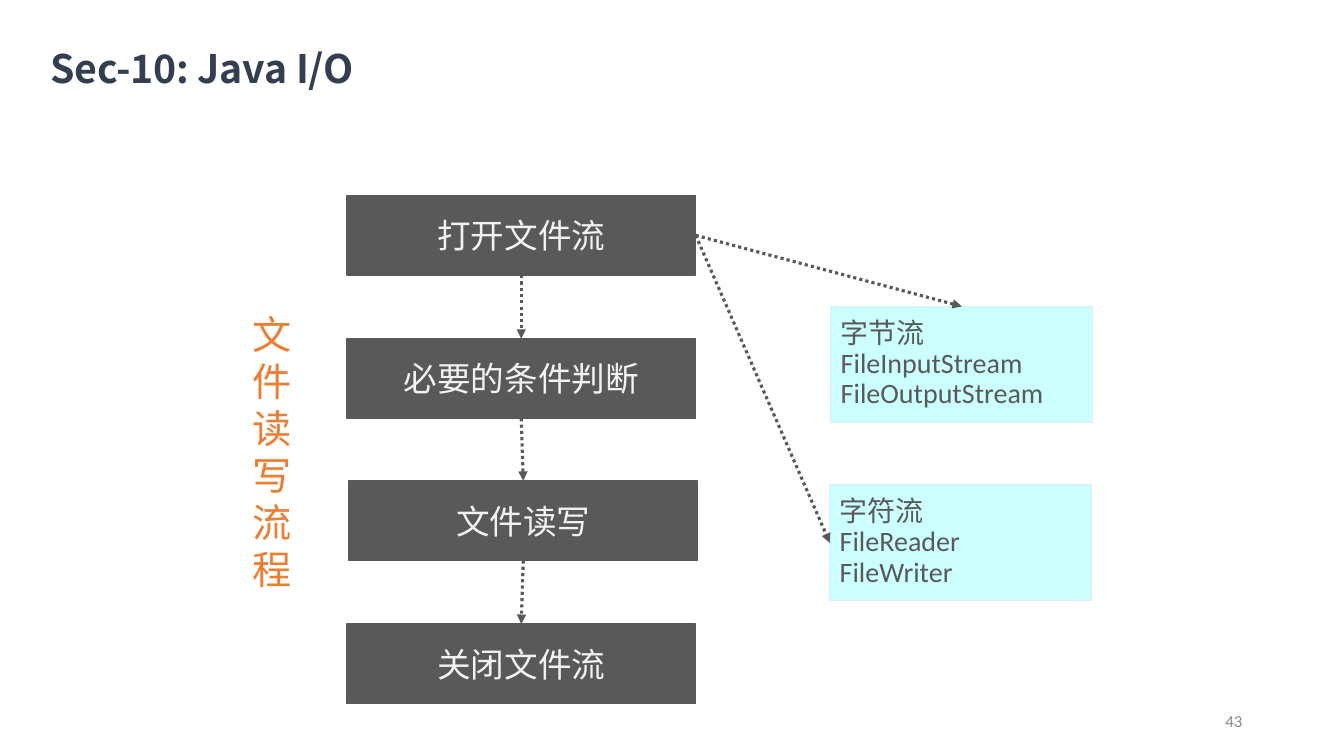
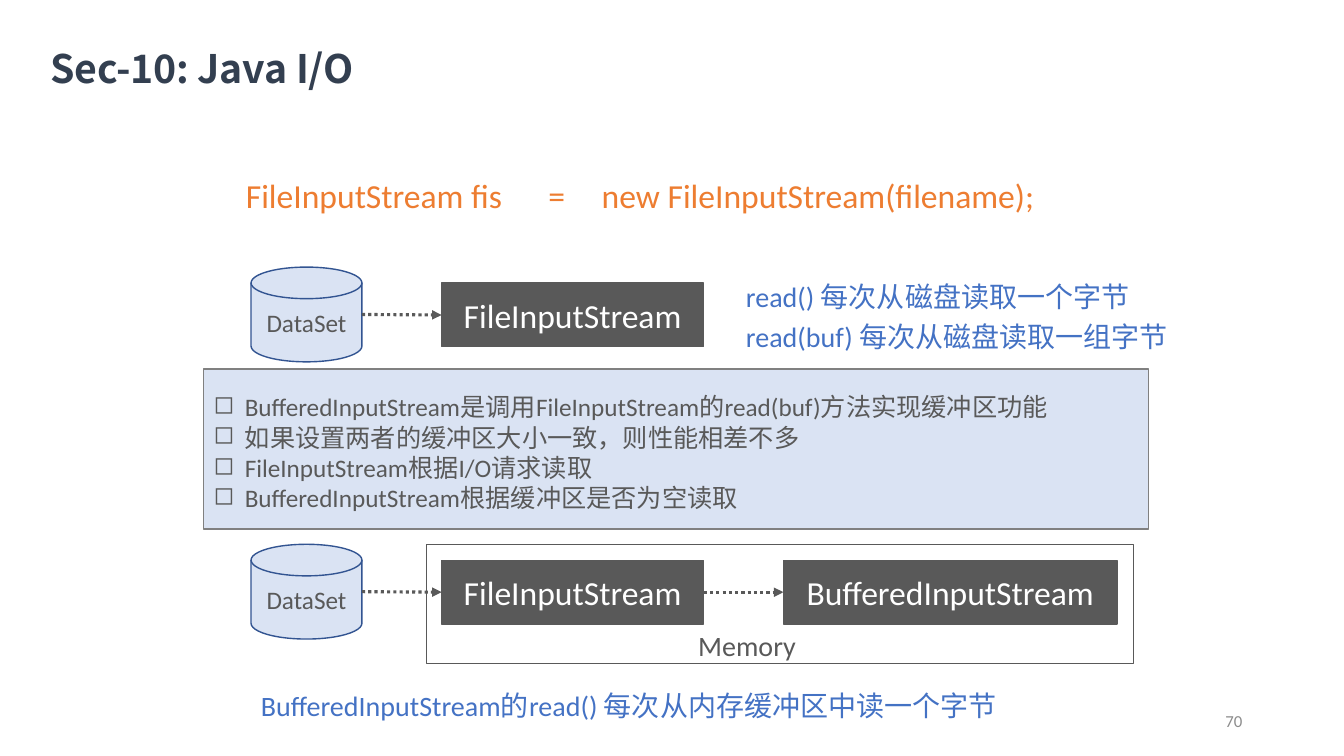
import dataclasses

import lxml.etree
import pptx
import pptx.dml.color
import pptx.enum.dml
import pptx.enum.shapes
import pptx.enum.text
import pptx.oxml.ns
import pptx.util

SHAPE = pptx.enum.shapes.MSO_SHAPE
ALIGN = pptx.enum.text.PP_ALIGN
ANCHOR = pptx.enum.text.MSO_ANCHOR
FIT = pptx.enum.text.MSO_AUTO_SIZE
TOP, LEFT, BASE, RIGHT = range(4)


@dataclasses.dataclass(frozen=True)
class Theme:
    dark: str = "595959"
    pale: str = "F2F2F2"
    white: str = "FFFFFF"
    navy: str = "333F50"
    orange: str = "ED7D31"
    blue: str = "4472C4"
    cyan: str = "CCFFFF"
    ice: str = "DEEBF7"
    sky: str = "DAE3F3"
    rim: str = "325491"
    grey: str = "808080"
    mute: str = "8C8C8C"
    latin: str = "Calibri"
    han: str = "Noto Sans CJK SC"
    head: int = 28
    big: int = 24
    mid: int = 20
    small: int = 18
    foot: int = 12


def px(num):
    return pptx.util.Emu(num * 9144)


def put(item, **vals):
    for key, val in vals.items():
        setattr(item, key, val)


def add(node, tag, **vals):
    return lxml.etree.SubElement(node, pptx.oxml.ns.qn(tag), vals)


def paint(fill, tone):
    if tone is None:
        fill.background()
    else:
        fill.solid()
        fill.fore_color.rgb = pptx.dml.color.RGBColor.from_string(tone)


def spot(shape, side):
    x, y, w, h = shape.left, shape.top, shape.width, shape.height
    return {
        TOP: (x + w // 2, y),
        LEFT: (x, y + h // 2),
        BASE: (x + w // 2, y + h),
        RIGHT: (x + w, y + h // 2),
    }[side]


class Deck:
    def __init__(self, theme):
        self.theme = theme
        self.prs = pptx.Presentation()
        put(self.prs, slide_width=px(1333), slide_height=px(750))
        self.slide = None

    def page(self, num):
        t = self.theme
        self.slide = self.prs.slides.add_slide(self.prs.slide_layouts[6])
        self.note((942, 695, 300, 40), [num], t.foot, t.mute,
                  align=ALIGN.RIGHT, anchor=ANCHOR.MIDDLE, fit=FIT.NONE)
        title = self.note((50, 42, 648, 48), ["Sec-10: Java I/O"], t.head,
                          t.navy, face=t.han, bold=True, track=-10)
        put(title.text_frame, margin_left=0, margin_right=0,
            margin_top=px(2), margin_bottom=0)

    def label(self, shape, lines, size, tone, face=None, align=ALIGN.LEFT,
              anchor=ANCHOR.TOP, fit=FIT.NONE, wrap=True, bold=False,
              space=None, mark=None, tabs=(), track=None):
        frame = shape.text_frame
        put(frame, word_wrap=wrap, auto_size=fit, vertical_anchor=anchor)
        for i, line in enumerate(lines):
            para = frame.paragraphs[0] if i == 0 else frame.add_paragraph()
            put(para, alignment=align, line_spacing=space)
            props = para._p.get_or_add_pPr()
            if mark:
                props.set("marL", str(px(31)))
                props.set("indent", str(px(-31)))
                add(props, "a:buChar", char=mark)
            if tabs:
                stops = add(props, "a:tabLst")
                for stop in tabs:
                    add(stops, "a:tab", pos=str(px(stop)), algn="l")
            run = para.add_run()
            run.text = line
            put(run.font, size=pptx.util.Pt(size), bold=bold,
                name=face or self.theme.latin)
            paint(run.font.fill, tone)
            style = run._r.get_or_add_rPr()
            add(style, "a:ea", typeface=self.theme.han)
            if track:
                style.set("spc", str(track))

    def note(self, box, lines, size, tone, fit=FIT.SHAPE_TO_FIT_TEXT, **form):
        shape = self.slide.shapes.add_textbox(*map(px, box))
        self.label(shape, lines, size, tone, fit=fit, **form)
        return shape

    def form(self, box, fill, edge, kind=SHAPE.RECTANGLE, width=1):
        shape = self.slide.shapes.add_shape(kind, *map(px, box))
        shape.shadow.inherit = False
        paint(shape.fill, fill)
        paint(shape.line.fill, edge)
        shape.line.width = pptx.util.Pt(width)
        return shape

    def step(self, box, text, tone, face=None):
        t = self.theme
        shape = self.form(box, t.dark, t.dark)
        self.label(shape, [text], t.big, tone, face=face,
                   align=ALIGN.CENTER, anchor=ANCHOR.MIDDLE)
        return shape

    def card(self, box, lines):
        t = self.theme
        shape = self.form(box, t.cyan, t.ice, width=0.75)
        self.label(shape, lines, t.mid, t.dark, anchor=ANCHOR.MIDDLE,
                   wrap=False, space=0.9)
        return shape

    def disk(self, x, y):
        t = self.theme
        shape = self.form((x, y, 110, 94), t.sky, t.rim,
                          SHAPE.FLOWCHART_MAGNETIC_DISK)
        self.label(shape, ["DataSet"], t.small, t.dark,
                   align=ALIGN.CENTER, anchor=ANCHOR.MIDDLE)
        return shape

    def link(self, start, out, end, into):
        line = self.slide.shapes.add_connector(
            pptx.enum.shapes.MSO_CONNECTOR.STRAIGHT,
            *spot(start, out), *spot(end, into))
        if start.auto_shape_type == SHAPE.RECTANGLE:
            line.begin_connect(start, out)
        line.end_connect(end, into)
        paint(line.line.fill, self.theme.dark)
        put(line.line, width=pptx.util.Pt(2.25),
            dash_style=pptx.enum.dml.MSO_LINE.ROUND_DOT)
        add(line.line._get_or_add_ln(), "a:tailEnd", type="triangle")
        add(line._element.spPr, "a:effectLst")


def flow(deck):
    t = deck.theme
    deck.page("43")
    names = ["打开文件流", "必要的条件判断", "文件读写", "关闭文件流"]
    lefts = [344, 344, 346, 344]
    steps = [deck.step((x, 194 + round(141.67 * i), 346, 79), name,
                       t.pale, t.han)
             for i, (x, name) in enumerate(zip(lefts, names))]
    for one, two in zip(steps, steps[1:]):
        deck.link(one, BASE, two, TOP)
    deck.note((241, 303, 55, 293), ["文件读写流程"], t.head, t.orange,
              face=t.han)
    bytes_card = deck.card((824, 304, 260, 115),
                           ["字节流", "FileInputStream", "FileOutputStream"])
    chars_card = deck.card((823, 481, 260, 115),
                           ["字符流", "FileReader", "FileWriter"])
    deck.link(steps[0], RIGHT, bytes_card, TOP)
    deck.link(steps[0], RIGHT, chars_card, LEFT)


def buffer(deck):
    t = deck.theme
    deck.page("70")
    deck.note((234, 169, 874, 50),
              ["FileInputStream fis\t=\tnew FileInputStream(filename);"],
              t.big, t.orange, tabs=(300, 353))
    for y in (265, 540):
        disk = deck.disk(249, y)
        stream = deck.step((438, y + 16, 260, 63), "FileInputStream", t.white)
        deck.link(disk, RIGHT, stream, LEFT)
    cache = deck.step((777, 556, 331, 63), "BufferedInputStream", t.white)
    deck.link(stream, RIGHT, cache, LEFT)
    deck.form((423, 540, 701, 118), None, t.dark)
    deck.note((619, 619, 244, 44), ["Memory"], t.mid, t.dark,
              align=ALIGN.CENTER)
    for x, y, w, text in (
        (730, 272, 429, "read() 每次从磁盘读取一个字节"),
        (730, 312, 472, "read(buf) 每次从磁盘读取一组字节"),
        (249, 678, 874, "BufferedInputStream的read() 每次从内存缓冲区中读一个字节"),
    ):
        deck.note((x, y, w, 44), [text], t.mid, t.blue)
    deck.form((202, 366, 937, 159), t.sky, t.grey)
    deck.note((202, 383, 937, 131), [
        "BufferedInputStream是调用FileInputStream的read(buf)方法实现缓冲区功能",
        "如果设置两者的缓冲区大小一致，则性能相差不多",
        "FileInputStream根据I/O请求读取",
        "BufferedInputStream根据缓冲区是否为空读取",
    ], t.small, t.dark, anchor=ANCHOR.MIDDLE, mark="◻")


def main():
    deck = Deck(Theme())
    flow(deck)
    buffer(deck)
    deck.prs.save("out.pptx")


if __name__ == "__main__":
    main()
